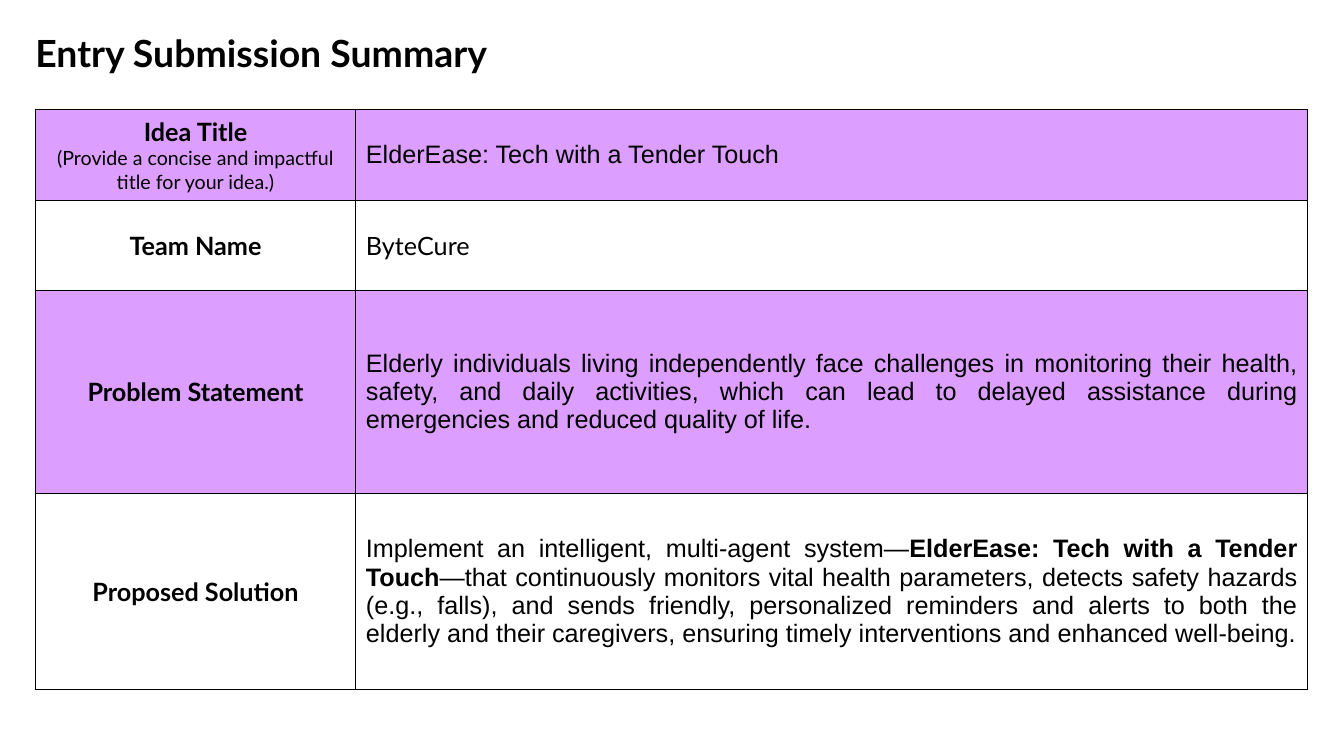
from dataclasses import dataclass

from lxml import etree
from pptx import Presentation
from pptx.dml.color import RGBColor
from pptx.enum.text import MSO_ANCHOR, MSO_AUTO_SIZE, PP_ALIGN
from pptx.oxml.ns import qn
from pptx.util import Pt

LEFT, CENTER, JUSTIFY = PP_ALIGN.LEFT, PP_ALIGN.CENTER, PP_ALIGN.JUSTIFY
TOP, MIDDLE = MSO_ANCHOR.TOP, MSO_ANCHOR.MIDDLE
NO_AUTOFIT = MSO_AUTO_SIZE.NONE
TITLE_ONLY = 5

COLORS = {"text": "000000", "border": "000000", "violet": "DD9FFF", "white": "FFFFFF"}
HEADING_FONT, BODY_FONT = "Lato", "Arial"

TABLE_LEFT, TABLE_TOP = 25.2, 78
COLUMN_WIDTHS = (229, 680)


@dataclass(frozen=True)
class Span:
    text: str
    bold: bool = False
    size: float = 18
    new_line: bool = False


@dataclass(frozen=True)
class Entry:
    label: tuple[Span, ...]
    answer: tuple[Span, ...]
    height: float
    fill: str
    answer_font: str = BODY_FONT
    answer_align: PP_ALIGN = LEFT


IDEA = "ElderEase: Tech with a Tender Touch"
ENTRIES = (
    Entry(
        (Span("Idea Title", bold=True),
         Span("(Provide a concise and impactful title for your idea.)", size=14, new_line=True)),
        (Span(IDEA),), 65.5, "violet"),
    Entry((Span("Team Name", bold=True),), (Span("ByteCure"),), 64.1, "white",
          answer_font=HEADING_FONT),
    Entry(
        (Span("Problem Statement", bold=True),),
        (Span("Elderly individuals living independently face challenges in monitoring their "
              "health, safety, and daily activities, which can lead to delayed assistance "
              "during emergencies and reduced quality of life."),),
        144.7, "violet", answer_align=JUSTIFY),
    Entry(
        (Span("Proposed Solution", bold=True),),
        (Span("Implement an intelligent, multi-agent system—"),
         Span(IDEA, bold=True),
         Span("—that continuously monitors vital health parameters, detects safety hazards "
              "(e.g., falls), and sends friendly, personalized reminders and alerts to both "
              "the elderly and their caregivers, ensuring timely interventions and enhanced "
              "well-being.")),
        140.4, "white", answer_align=JUSTIFY),
)


def color(name: str) -> RGBColor:
    return RGBColor.from_string(COLORS[name])


def write_spans(para, spans: tuple[Span, ...], font: str, align: PP_ALIGN) -> None:
    para.alignment = align
    for span in spans:
        if span.new_line:
            para.add_line_break()
        run = para.add_run()
        run.text = span.text
        run.font.name = font
        run.font.size = Pt(span.size)
        run.font.bold = span.bold
        run.font.color.rgb = color("text")


def add_borders(cell) -> None:
    properties = cell._tc.get_or_add_tcPr()
    for side in ("a:lnL", "a:lnR", "a:lnT", "a:lnB"):
        line = etree.SubElement(properties, qn(side), w=str(Pt(1)))
        fill = etree.SubElement(line, qn("a:solidFill"))
        etree.SubElement(fill, qn("a:srgbClr"), val=COLORS["border"])


def format_cell(cell, spans: tuple[Span, ...], fill: str, font: str, align: PP_ALIGN) -> None:
    add_borders(cell)
    cell.fill.solid()
    cell.fill.fore_color.rgb = color(fill)
    cell.vertical_anchor = MIDDLE
    write_spans(cell.text_frame.paragraphs[0], spans, font, align)


def add_title(page) -> None:
    box = page.shapes.title
    box.left, box.top, box.width, box.height = Pt(25.2), Pt(28), Pt(885), Pt(67)
    frame = box.text_frame
    frame.auto_size = NO_AUTOFIT
    frame.word_wrap = True
    frame.vertical_anchor = TOP
    frame.margin_left = frame.margin_top = frame.margin_bottom = 0
    frame.margin_right = Pt(9.4)
    para = frame.paragraphs[0]
    para.line_spacing = 0.8
    write_spans(para, (Span("Entry Submission Summary", bold=True, size=26.7),),
                HEADING_FONT, LEFT)


def add_summary_table(page) -> None:
    table = page.shapes.add_table(
        len(ENTRIES), len(COLUMN_WIDTHS), Pt(TABLE_LEFT), Pt(TABLE_TOP),
        Pt(sum(COLUMN_WIDTHS)), Pt(sum(entry.height for entry in ENTRIES))).table
    table.first_row = False
    table.horz_banding = False
    for column, width in zip(table.columns, COLUMN_WIDTHS):
        column.width = Pt(width)
    for row, entry in zip(table.rows, ENTRIES):
        row.height = Pt(entry.height)
        label, answer = row.cells
        format_cell(label, entry.label, entry.fill, HEADING_FONT, CENTER)
        format_cell(answer, entry.answer, entry.fill, entry.answer_font, entry.answer_align)


def main() -> None:
    deck = Presentation()
    deck.slide_width, deck.slide_height = Pt(960), Pt(540)
    page = deck.slides.add_slide(deck.slide_layouts[TITLE_ONLY])

    # Heading above the table
    add_title(page)

    # Labels on the left, answers on the right
    add_summary_table(page)

    deck.save("out.pptx")


if __name__ == "__main__":
    main()
